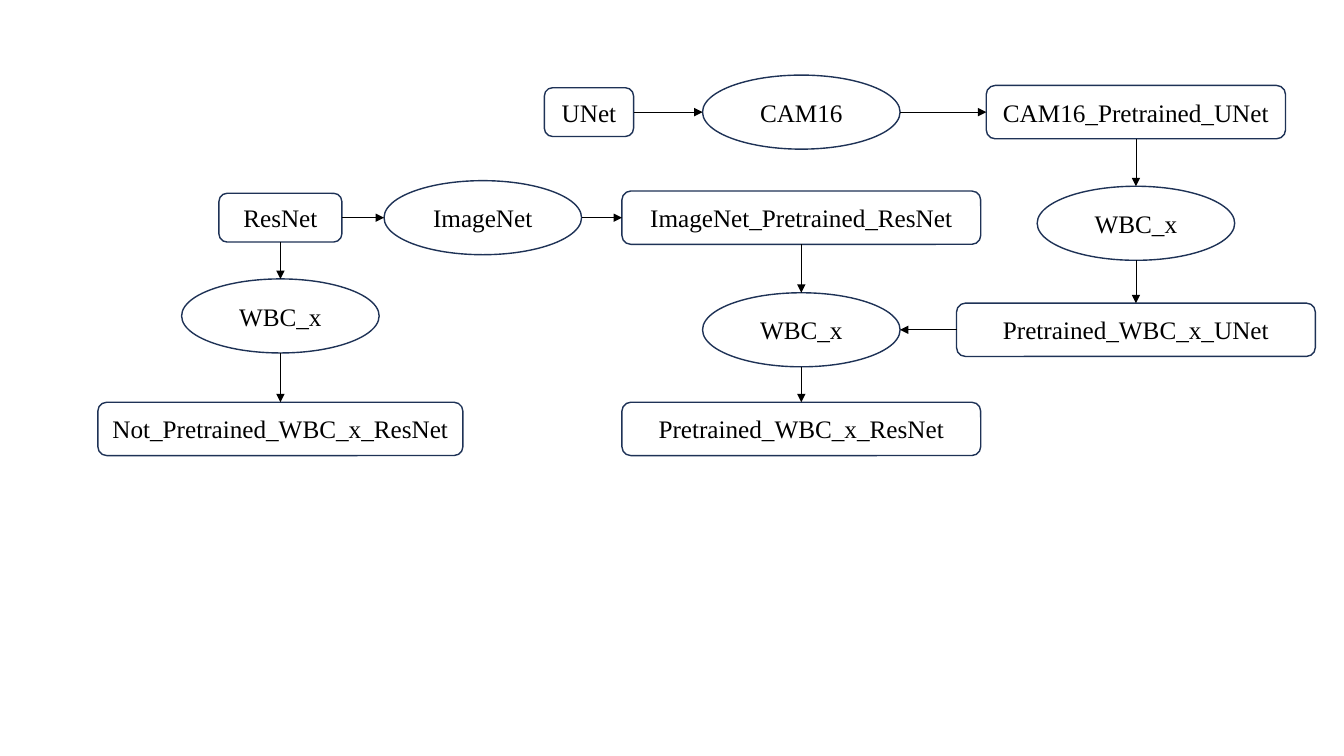
from pptx import Presentation
from pptx.dml.color import RGBColor
from pptx.enum import shapes, text
from pptx.oxml import parse_xml
from pptx.oxml.ns import nsdecls
from pptx.util import Pt

COLORS = {"fill": "FFFFFF", "edge": "1E3256", "ink": "000000"}
ROUND = shapes.MSO_SHAPE.ROUNDED_RECTANGLE
OVAL = shapes.MSO_SHAPE.OVAL

# Column centres and row centres
LEFT, IMAGE, UNET, MID, RIGHT = 200.3, 344.9, 420.7, 572.4, 811.4
TOP, SECOND, LAST = 80.1, 155.5, 306.4
DATA = (OVAL, 141.1, 52.9)
WIDE = (ROUND, 256.3, 38.1)

# key: label, centre x, centre y, (kind, width, height)
NODES = {
    "unet": ("UNet", UNET, TOP, (ROUND, 63.7, 34.8)),
    "cam": ("CAM16", MID, TOP, DATA),
    "cam_unet": ("CAM16_Pretrained_UNet", RIGHT, TOP, (ROUND, 213.8, 38.1)),
    "right_wbc": ("WBC_x", RIGHT, 159.5, DATA),
    "wbc_unet": ("Pretrained_WBC_x_UNet", RIGHT, 235.6, WIDE),
    "resnet": ("ResNet", LEFT, SECOND, (ROUND, 87.8, 34.8)),
    "image": ("ImageNet", IMAGE, SECOND, DATA),
    "image_resnet": ("ImageNet_Pretrained_ResNet", MID, SECOND, WIDE),
    "left_wbc": ("WBC_x", LEFT, 225.7, DATA),
    "plain_resnet": ("Not_Pretrained_WBC_x_ResNet", LEFT, LAST, (ROUND, 260.8, 38.1)),
    "mid_wbc": ("WBC_x", MID, 235.6, DATA),
    "wbc_resnet": ("Pretrained_WBC_x_ResNet", MID, LAST, WIDE),
}
CHAINS = [
    ("unet", "cam", "cam_unet", "right_wbc", "wbc_unet", "mid_wbc", "wbc_resnet"),
    ("resnet", "image", "image_resnet", "mid_wbc"),
    ("resnet", "left_wbc", "plain_resnet"),
]


def color(name):
    return RGBColor.from_string(COLORS[name])


def edge(node, other):
    """Return the point on node's border that faces other."""
    _, x, y, (_, width, height) = NODES[node]
    _, to_x, to_y, _ = NODES[other]
    if x == to_x:
        return Pt(x), Pt(y + height / 2 * (1 if to_y > y else -1))
    return Pt(x + width / 2 * (1 if to_x > x else -1)), Pt(y)


deck = Presentation()
deck.slide_width, deck.slide_height = Pt(960), Pt(540)
slide = deck.slides.add_slide(deck.slide_layouts[6])

for label, x, y, (kind, width, height) in NODES.values():
    box = slide.shapes.add_shape(
        kind, Pt(x - width / 2), Pt(y - height / 2), Pt(width), Pt(height))
    box.shadow.inherit = False
    box.fill.solid()
    box.fill.fore_color.rgb = color("fill")
    box.line.color.rgb = color("edge")
    box.line.width = Pt(1)
    frame = box.text_frame
    frame.word_wrap = False
    frame.vertical_anchor = text.MSO_ANCHOR.MIDDLE
    para = frame.paragraphs[0]
    para.alignment = text.PP_ALIGN.CENTER
    run = para.add_run()
    run.text = label
    run.font.name = "Times New Roman"
    run.font.size = Pt(18)
    run.font.color.rgb = color("ink")

for chain in CHAINS:
    for start, end in zip(chain, chain[1:]):
        arrow = slide.shapes.add_connector(
            shapes.MSO_CONNECTOR.STRAIGHT, *edge(start, end), *edge(end, start))
        arrow.line.color.rgb = color("ink")
        arrow.line.width = Pt(0.5)
        arrow.line._get_or_add_ln().append(
            parse_xml(f'<a:tailEnd {nsdecls("a")} type="triangle"/>'))
        arrow._element.spPr.append(parse_xml(f'<a:effectLst {nsdecls("a")}/>'))

deck.save("out.pptx")
